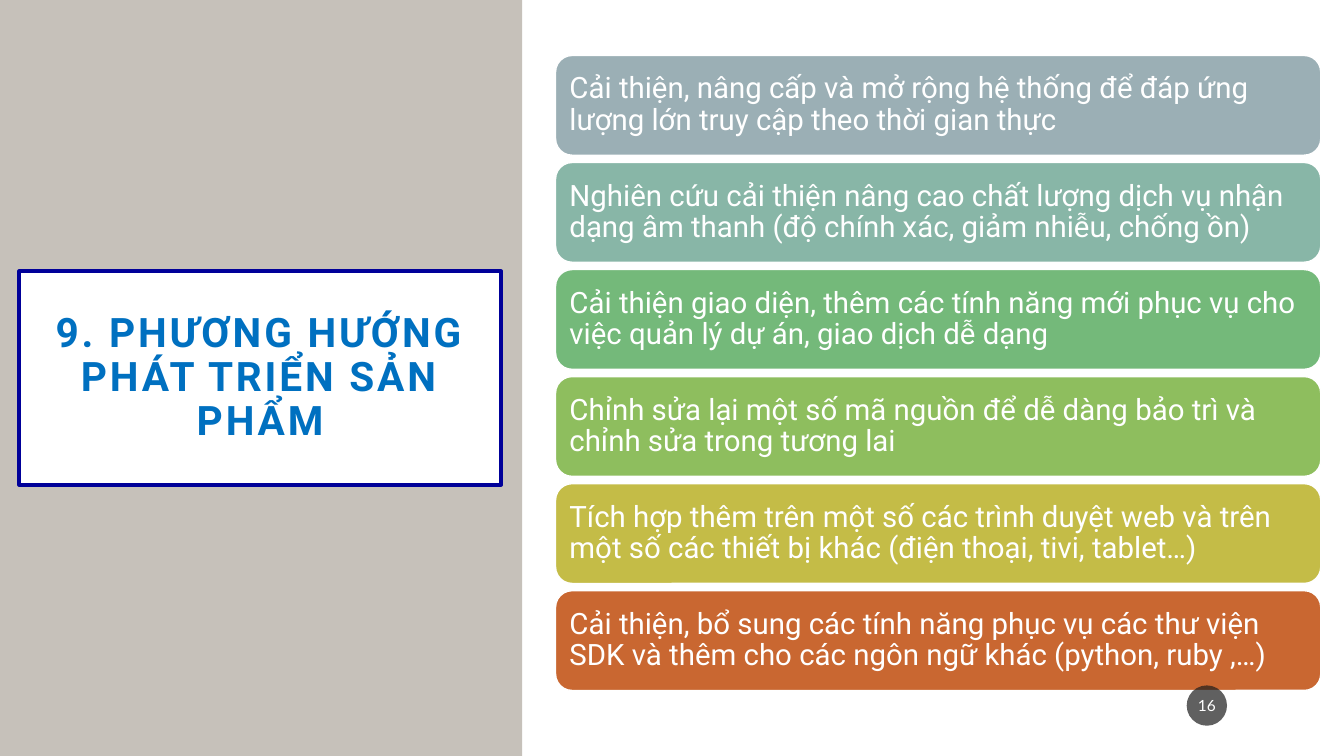
from pptx import Presentation
from pptx.dml.color import RGBColor
from pptx.enum.shapes import MSO_SHAPE
from pptx.enum.text import MSO_ANCHOR, PP_ALIGN
from pptx.oxml.ns import qn
from pptx.util import Inches, Pt
from lxml.etree import SubElement

TITLE = "9. PHƯƠNG HƯỚNG PHÁT TRIỂN SẢN PHẨM"
PLANS = [
    ("Cải thiện, nâng cấp và mở rộng hệ thống để đáp ứng lượng lớn truy cập theo thời gian thực", "slate"),
    ("Nghiên cứu cải thiện nâng cao chất lượng dịch vụ nhận dạng âm thanh (độ chính xác, giảm nhiễu, chống ồn)", "teal"),
    ("Cải thiện giao diện, thêm các tính năng mới phục vụ cho việc quản lý dự án, giao dịch dễ dạng", "green"),
    ("Chỉnh sửa lại một số mã nguồn để dễ dàng bảo trì và chỉnh sửa trong tương lai", "lime"),
    ("Tích hợp thêm trên một số các trình duyệt web và trên một số các thiết bị khác (điện thoại, tivi, tablet…)", "mustard"),
    ("Cải thiện, bổ sung các tính năng phục vụ các thư viện SDK và thêm cho các ngôn ngữ khác (python, ruby ,…)", "orange"),
]
PAGE_NUMBER = "16"

COLORS = {
    "white": "FFFFFF", "sand": "C6C1BA", "navy": "000099", "blue": "0070C0",
    "slate": "9BAFB5", "teal": "88B6A7", "green": "74B97A", "lime": "8EBE5E",
    "mustard": "C4BC47", "orange": "C96731", "charcoal": "1D1D1D",
}
WIDTH, HEIGHT = 13.33, 7.5
PANEL_WIDTH = 5.18
CARD_LEFT, CARD_TOP, CARD_WIDTH, CARD_HEIGHT = 5.51, 0.55, 7.59, 0.99
CARD_STEP = 1.062

TITLE_FORMAT = {"name": "Roboto", "size": Pt(29), "bold": True}
CARD_FORMAT = {"name": "Roboto", "size": Pt(21)}
NUMBER_FORMAT = {"name": "Lato", "size": Pt(11)}


def color(name):
    return RGBColor.from_string(COLORS[name])


def add_box(page, kind, place, fill, line=None, line_width=1):
    box = page.shapes.add_shape(kind, *[Inches(value) for value in place])
    box.shadow.inherit = False
    box.fill.solid()
    box.fill.fore_color.rgb = color(fill)
    if line:
        box.line.color.rgb = color(line)
        box.line.width = Pt(line_width)
    else:
        box.line.fill.background()
    return box


def write(box, text, ink, font, align, margins, spacing=1.0):
    frame = box.text_frame
    frame.word_wrap = True
    frame.vertical_anchor = MSO_ANCHOR.MIDDLE
    across, down = [Inches(value) for value in margins]
    frame.margin_left = frame.margin_right = across
    frame.margin_top = frame.margin_bottom = down
    para = frame.paragraphs[0]
    para.alignment = align
    para.line_spacing = spacing
    span = para.add_run()
    span.text = text
    span.font.color.rgb = color(ink)
    for key, value in font.items():
        setattr(span.font, key, value)
    return span


deck = Presentation()
deck.slide_width, deck.slide_height = Inches(WIDTH), Inches(HEIGHT)
page = deck.slides.add_slide(deck.slide_layouts[6])

add_box(page, MSO_SHAPE.RECTANGLE, (0, 0, PANEL_WIDTH, HEIGHT), "sand")
title = add_box(page, MSO_SHAPE.RECTANGLE, (0.19, 2.69, 4.78, 2.12), "white", "navy", 2.5)
span = write(title, TITLE, "blue", TITLE_FORMAT, PP_ALIGN.CENTER, (0.2, 0.2), 0.9)
span.font._element.set("spc", "200")

for row, (plan, fill) in enumerate(PLANS):
    place = (CARD_LEFT, CARD_TOP + row * CARD_STEP, CARD_WIDTH, CARD_HEIGHT)
    card = add_box(page, MSO_SHAPE.ROUNDED_RECTANGLE, place, fill, "white")
    write(card, plan, "white", CARD_FORMAT, PP_ALIGN.LEFT, (0.09, 0.09), 0.9)

badge = add_box(page, MSO_SHAPE.OVAL, (11.77, 6.8, 0.4, 0.4), "charcoal")
tint = badge._element.spPr.find(qn("a:solidFill")).find(qn("a:srgbClr"))
SubElement(tint, qn("a:alpha")).set("val", "70000")
write(badge, PAGE_NUMBER, "white", NUMBER_FORMAT, PP_ALIGN.CENTER, (0.02, 0.05))

deck.save("out.pptx")
